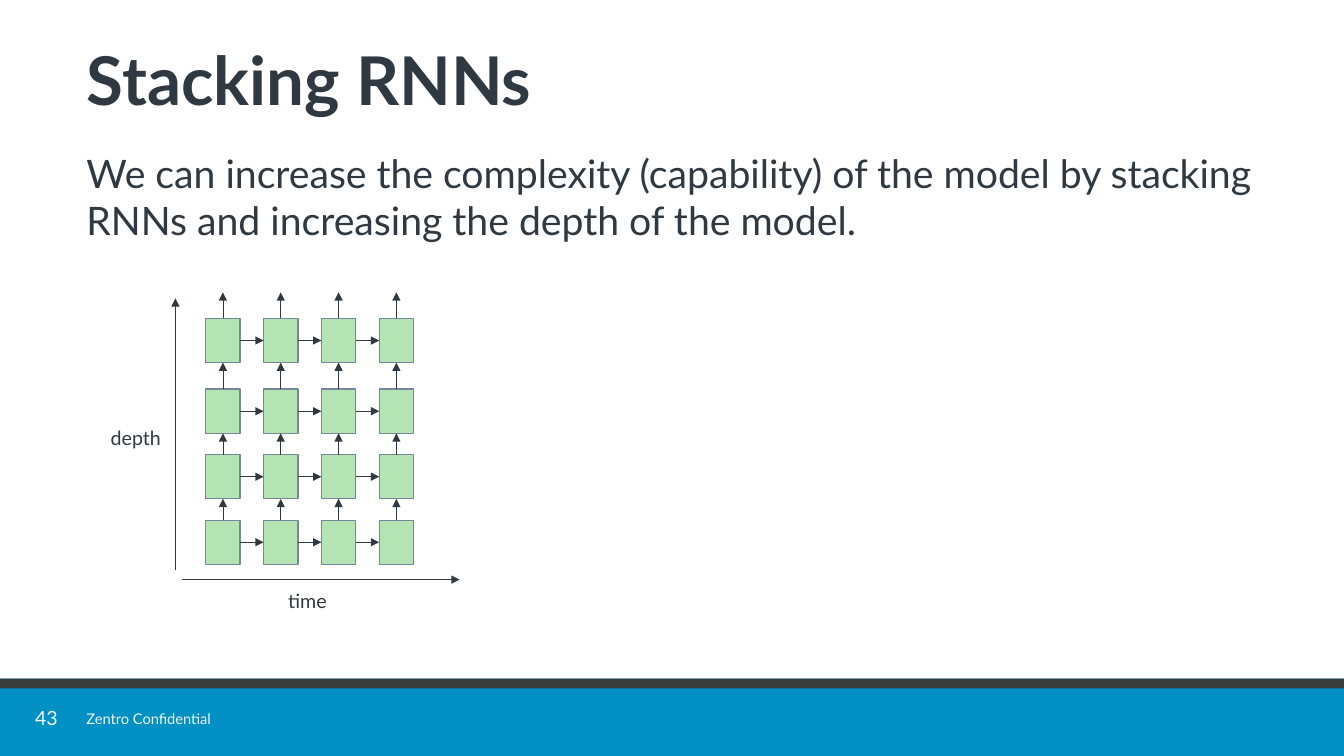
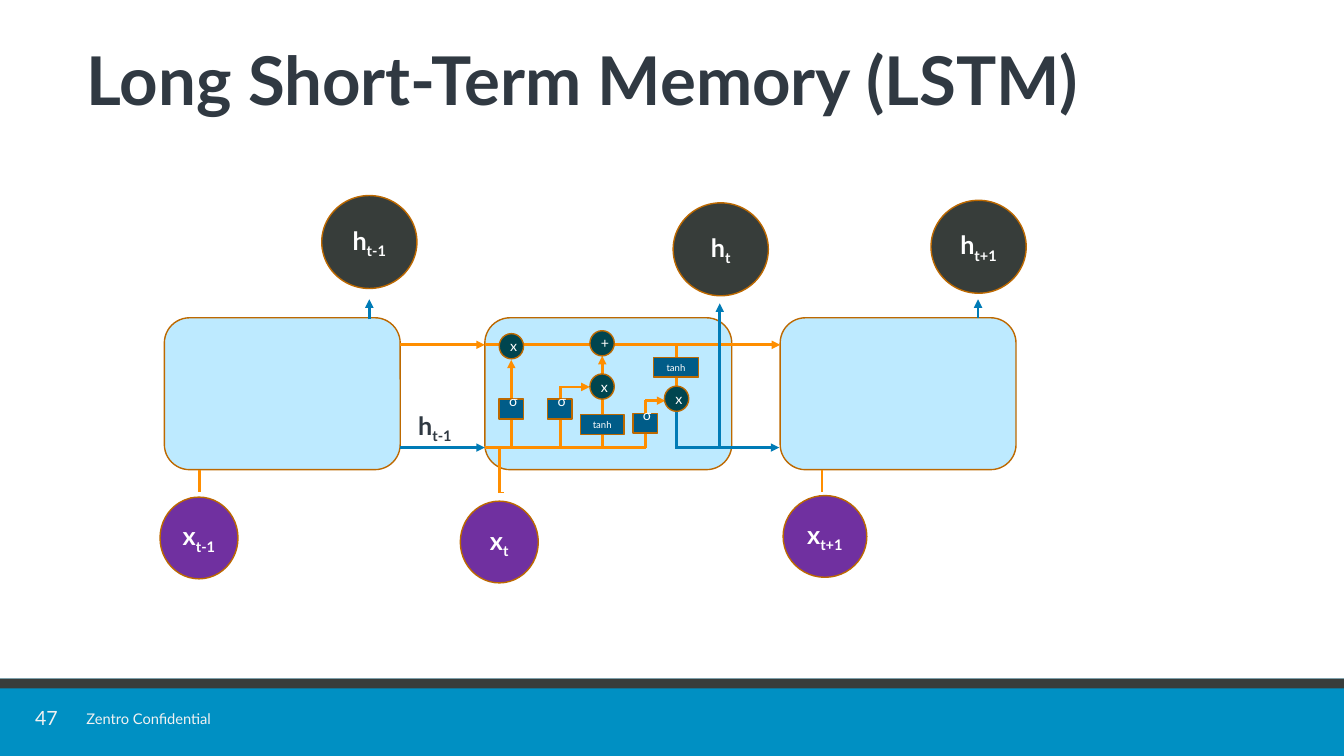
from lxml.etree import SubElement
from pptx import Presentation
from pptx.dml.color import RGBColor
from pptx.enum.shapes import MSO_CONNECTOR, MSO_SHAPE
from pptx.enum.text import MSO_ANCHOR, MSO_AUTO_SIZE, PP_ALIGN
from pptx.oxml.ns import qn
from pptx.util import Pt

FONT = "Lato"
WHITE = RGBColor(0xFF, 0xFF, 0xFF)
INK = RGBColor(0x30, 0x39, 0x42)
FOOTER_BLUE = RGBColor(0x00, 0x90, 0xC3)
FOOTER_EDGE = RGBColor(0x38, 0x3D, 0x3B)
FOOTER_TEXT = RGBColor(0xF2, 0xF2, 0xF2)
GREEN = RGBColor(0xB4, 0xE3, 0xB4)
SLATE = RGBColor(0x75, 0x88, 0x9B)
PALE_BLUE = RGBColor(0xBD, 0xEA, 0xFF)
BROWN = RGBColor(0xBD, 0x69, 0x00)
ORANGE = RGBColor(0xFF, 0x8E, 0x00)
BLUE = RGBColor(0x00, 0x7B, 0xB6)
NAVY = RGBColor(0x00, 0x5C, 0x88)
TEAL = RGBColor(0x00, 0x45, 0x4F)
CHARCOAL = RGBColor(0x37, 0x3D, 0x3A)
PURPLE = RGBColor(0x70, 0x30, 0xA0)


class SlideBuilder:
    """Holds the deck style and draws each kind of element on the current page."""

    def __init__(self):
        self.deck = Presentation()
        self.deck.slide_width = Pt(960)
        self.deck.slide_height = Pt(540)
        self.page = None

    def start_page(self, title, number):
        self.page = self.deck.slides.add_slide(self.deck.slide_layouts[5])
        self.shape(MSO_SHAPE.RECTANGLE, 0, 484.8, 960, 55.2, FOOTER_BLUE)
        self.shape(MSO_SHAPE.RECTANGLE, 0, 484.8, 960, 7, FOOTER_EDGE)
        box = self.text(number, 23.8, 505.4, 18.7, 16.6, 14, FOOTER_TEXT)
        frame = box.text_frame
        frame.margin_left = frame.margin_right = 0
        frame.margin_top = frame.margin_bottom = 0
        frame.vertical_anchor = MSO_ANCHOR.MIDDLE
        frame.paragraphs[0].alignment = PP_ALIGN.CENTER
        frame.paragraphs[0].line_spacing = 0.9
        self.text("Zentro Confidential", 54.7, 503.3, 115.2, 20.2, 10.5, FOOTER_TEXT)
        self.title(title)

    def title(self, words):
        box = self.page.shapes.title
        box.left, box.top = Pt(54.7), Pt(23)
        box.width, box.height = Pt(857.5), Pt(77.8)
        frame = box.text_frame
        frame.auto_size = MSO_AUTO_SIZE.NONE
        frame.vertical_anchor = MSO_ANCHOR.MIDDLE
        para = self.fill_frame(frame, words, 48, INK, True)
        para.alignment = PP_ALIGN.LEFT
        para.line_spacing = 0.8

    def fill_frame(self, frame, words, size, color, bold=False, subscript=""):
        frame.word_wrap = True
        para = frame.paragraphs[0]
        para.add_run().text = words
        if subscript:
            span = para.add_run()
            span.text = subscript
            span.font._element.set("baseline", "-25000")
        para.font.name = FONT
        para.font.size = Pt(size)
        para.font.bold = bold
        para.font.color.rgb = color
        return para

    def text(self, words, left, top, width, height, size, color=INK, bold=False, subscript=""):
        box = self.page.shapes.add_textbox(Pt(left), Pt(top), Pt(width), Pt(height))
        self.fill_frame(box.text_frame, words, size, color, bold, subscript)
        return box

    def shape(self, kind, left, top, width, height, fill, outline=None):
        box = self.page.shapes.add_shape(kind, Pt(left), Pt(top), Pt(width), Pt(height))
        box.shadow.inherit = False
        box.fill.solid()
        box.fill.fore_color.rgb = fill
        if outline is None:
            box.line.fill.background()
        else:
            box.line.color.rgb = outline
            box.line.width = Pt(1)
        return box

    def node(self, kind, left, top, width, height, fill, words, size, bold=False, subscript=""):
        box = self.shape(kind, left, top, width, height, fill, BROWN)
        box.text_frame.vertical_anchor = MSO_ANCHOR.MIDDLE
        para = self.fill_frame(box.text_frame, words, size, WHITE, bold, subscript)
        para.alignment = PP_ALIGN.CENTER

    def line(self, start, end, color, width, arrow=True):
        line = self.page.shapes.add_connector(
            MSO_CONNECTOR.STRAIGHT, *(Pt(value) for value in (*start, *end)))
        line.line.color.rgb = color
        line.line.width = Pt(width)
        properties = line._element.spPr
        if arrow:
            SubElement(properties.get_or_add_ln(), qn("a:tailEnd"), type="triangle")
        SubElement(properties, qn("a:effectLst"))


def add_stacking_page(builder):
    builder.start_page("Stacking RNNs", "43")
    builder.text("We can increase the complexity (capability) of the model by stacking "
                 "RNNs and increasing the depth of the model.", 54.7, 103, 856.8, 362.2, 28)
    builder.line((125.3, 407.5), (125.3, 213.1), INK, 1)
    builder.line((130.3, 414), (328.3, 414), INK, 1)
    builder.text("time", 198.7, 416.9, 45.4, 24.5, 14)
    builder.text("depth", 72, 301, 53.3, 24.5, 14)

    width, height, pitch = 24.5, 31.5, 41.3
    lefts = [147 + pitch * column for column in range(4)]
    tops = [227.5, 278, 324.8, 371.6]
    arrow_ends = [208.8] + [top + height for top in tops[:-1]]
    for top, arrow_end in zip(tops, arrow_ends):
        for left in lefts:
            builder.shape(MSO_SHAPE.RECTANGLE, left, top, width, height, GREEN, SLATE)
            center = left + width / 2
            builder.line((center, top), (center, arrow_end), INK, 0.5)
        middle = top + height / 2
        for left in lefts[:-1]:
            builder.line((left + width, middle), (left + pitch, middle), INK, 0.5)


def add_lstm_page(builder):
    builder.start_page("Long Short-Term Memory (LSTM)", "47")
    for left, width in ((117.4, 168.5), (346.3, 176.4), (557.3, 168.5)):
        builder.shape(MSO_SHAPE.ROUNDED_RECTANGLE, left, 227, width, 108.5, PALE_BLUE, BROWN)

    state_y, hidden_y = 246.3, 319.7
    for start, end in (((135.4, 355), (142.6, 355)), ((356.4, 351.4), (360, 351.4))):
        builder.line(start, end, ORANGE, 0.5, False)
    plain_wires = (
        ((142.6, 351.4), (142.6, 335.5)), ((356.6, 352), (356.6, hidden_y)),
        ((587.2, 351.4), (587.2, 335.5)), ((346.3, hidden_y), (461.5, hidden_y)),
        ((400.3, hidden_y), (400.3, 300.2)), ((400.3, 286.6), (400.3, 276.4)),
        ((460.8, hidden_y), (460.8, 309.6)), ((460.8, 296.6), (460.8, 285.6)),
        ((483.3, 275.8), (483.3, 269.3)), ((483.3, 254.9), (483.3, state_y)),
    )
    orange_arrows = (
        ((285.9, state_y), (346.3, state_y)), ((346.3, state_y), (557.3, state_y)),
        ((365.2, hidden_y), (365.2, 257)), ((430.2, hidden_y), (430.2, 254.2)),
        ((399.6, 276.4), (421.2, 276.4)), ((460.8, 286.2), (475.2, 286.2)),
    )
    blue_arrows = (
        ((263.8, 228.2), (263.8, 213.8)), ((285.9, hidden_y), (346.3, hidden_y)),
        ((698.6, 227), (698.6, 213.8)), ((483.3, hidden_y), (556.6, hidden_y)),
        ((514.1, hidden_y), (514.1, 216.7)),
    )
    for wires, color, arrow in ((plain_wires, ORANGE, False), (orange_arrows, ORANGE, True),
                                (blue_arrows, BLUE, True)):
        for start, end in wires:
            builder.line(start, end, color, 2, arrow)
    builder.line((483.3, 293.8), (483.3, 320.4), BLUE, 2, False)

    for sign, left, top in (("x", 356.6, 238.3), ("+", 421.4, 236.2),
                            ("x", 421.4, 267.1), ("x", 474.6, 275.8)):
        builder.node(MSO_SHAPE.OVAL, left, top, 17.4, 18, TEAL, sign, 10.1)
    for name, left, top, width, size in (
            ("σ ", 356.6, 285.1, 17.3, 10.1), ("σ ", 391.3, 285.1, 17.3, 10.1),
            ("σ ", 452.2, 295.2, 17.3, 10.1), ("tanh", 414.7, 296, 31, 6.8),
            ("tanh", 466.6, 255.2, 32.4, 6.8)):
        builder.node(MSO_SHAPE.RECTANGLE, left, top, width, 14.2, NAVY, name, size)

    for step, left, top in (("t-1", 229.8, 139.7), ("t", 480.8, 144.9), ("t+1", 665, 143.1)):
        builder.node(MSO_SHAPE.OVAL, left, top, 68, 66.4, CHARCOAL, "h", 18, True, step)
    for step, left, top, width in (("t-1", 114.3, 355.1, 55.7), ("t", 328.8, 358, 55.7),
                                   ("t+1", 559.4, 354, 59.8)):
        builder.node(MSO_SHAPE.OVAL, left, top, width, 58.4, PURPLE, "x", 18, True, step)
    builder.text("h", 291.6, 289.4, 44.6, 28.8, 18, INK, True, "t-1")


def main():
    builder = SlideBuilder()
    add_stacking_page(builder)
    add_lstm_page(builder)
    builder.deck.save("out.pptx")


if __name__ == "__main__":
    main()
